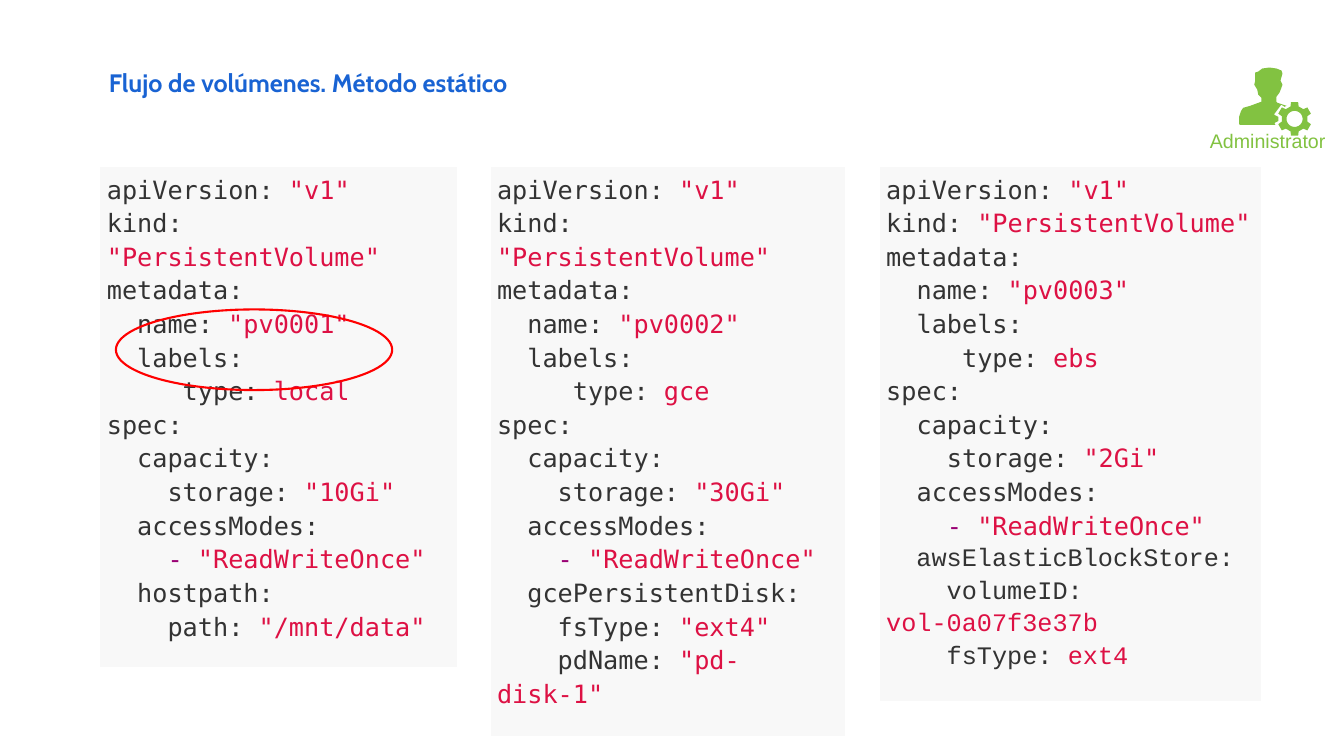
from dataclasses import dataclass
from math import cos, pi, sin

from pptx import Presentation
from pptx.dml.color import RGBColor
from pptx.enum.shapes import MSO_SHAPE
from pptx.enum.text import MSO_ANCHOR, PP_ALIGN
from pptx.util import Inches, Pt

ELLIPSE = MSO_SHAPE.OVAL
TOP = MSO_ANCHOR.TOP
LEFT = PP_ALIGN.LEFT
TITLE_ONLY = 5


@dataclass(frozen=True)
class Theme:
    white: str = "FFFFFF"
    title: str = "1963D3"
    admin: str = "82C241"
    panel: str = "F8F8F8"
    key: str = "333333"
    value: str = "DD1144"
    dash: str = "990073"
    mark: str = "FF0000"
    title_font: str = "Cabin"
    label_font: str = "Arial"
    code_font: str = "DejaVu Sans Mono"
    alt_code_font: str = "Courier New"
    body_size: int = 18
    label_size: int = 14
    code_spacing: float = 1.15


THEME = Theme()

VOLUME = """apiVersion: "v1"
kind: "PersistentVolume"
metadata:
  name: "{name}"
  labels:
     type: {type}
spec:
  capacity:
    storage: "{storage}"
  accessModes:
    - "ReadWriteOnce"
"""
LOCAL_DISK = """  hostpath:
    path: "/mnt/data\""""
GCE_DISK = """  gcePersistentDisk:
    fsType: "ext4"
    pdName: "pd-disk-1\""""
EBS_DISK = """  awsElasticBlockStore:
    volumeID: vol-0a07f3e37b
    fsType: ext4"""

# Box, volume settings, disk section, font of the disk section
PANELS = [
    ((0.99, 1.65, 3.55, 4.97), {"name": "pv0001", "type": "local", "storage": "10Gi"},
     LOCAL_DISK, THEME.code_font),
    ((4.86, 1.65, 3.53, 5.66), {"name": "pv0002", "type": "gce", "storage": "30Gi"},
     GCE_DISK, THEME.code_font),
    ((8.72, 1.65, 3.79, 5.31), {"name": "pv0003", "type": "ebs", "storage": "2Gi"},
     EBS_DISK, THEME.alt_code_font),
]

# Outline of the person, in inches from the corner of the icon
PERSON = [
    (0.30, 0), (0.23, 0.01), (0.19, 0.04), (0.16, 0.05), (0.16, 0.13),
    (0.15, 0.17), (0.18, 0.22), (0.19, 0.27), (0.22, 0.30), (0.22, 0.34),
    (0.11, 0.38), (0.04, 0.40), (0.02, 0.43), (0, 0.49), (0, 0.56),
    (0.01, 0.57), (0.36, 0.57), (0.35, 0.55), (0.39, 0.53), (0.39, 0.49),
    (0.35, 0.47), (0.35, 0.46), (0.41, 0.38), (0.42, 0.37), (0.45, 0.39),
    (0.47, 0.38), (0.38, 0.35), (0.37, 0.34), (0.37, 0.29), (0.40, 0.25),
    (0.42, 0.20), (0.43, 0.17), (0.41, 0.13), (0.43, 0.06), (0.42, 0.03),
    (0.37, 0.01),
]
GEAR_CENTER = (0.55, 0.51)


def color(code):
    return RGBColor.from_string(code)


def add_span(para, text, font, size, code, bold=False):
    span = para.add_run()
    span.text = text
    formats = {"name": font, "size": Pt(size), "bold": bold}
    for name, value in formats.items():
        setattr(span.font, name, value)
    span.font.color.rgb = color(code)


def set_margins(target, left, top, right, bottom):
    margins = {"left": left, "top": top, "right": right, "bottom": bottom}
    for side, value in margins.items():
        setattr(target, f"margin_{side}", Inches(value))


def place_title(page, box, text):
    title = page.shapes.title
    for name, value in zip(("left", "top", "width", "height"), box):
        setattr(title, name, Inches(value))
    title.fill.solid()
    title.fill.fore_color.rgb = color(THEME.white)
    frame = title.text_frame
    set_margins(frame, 0, 0, 0, 0)
    frame.word_wrap = False
    frame.vertical_anchor = TOP
    para = frame.paragraphs[0]
    para.alignment = LEFT
    add_span(para, text, THEME.title_font, THEME.body_size, THEME.title, bold=True)


def ring(center, radii_and_angles):
    """Points around a center, with angles in degrees."""
    x, y = center
    return [(x + radius * cos(angle * pi / 180), y + radius * sin(angle * pi / 180))
            for radius, angle in radii_and_angles]


def add_admin_icon(page, left, top):
    teeth = [(radius, 60 * tooth + 30 + turn) for tooth in range(6)
             for radius, turn in ((0.13, -18), (0.17, -12), (0.17, 12), (0.13, 18))]
    hole = [(0.08, -15 * step) for step in range(24)]
    outlines = [PERSON, ring(GEAR_CENTER, teeth), ring(GEAR_CENTER, hole)]
    builder = None
    for outline in outlines:
        points = [(Inches(left + x), Inches(top + y)) for x, y in outline]
        if builder is None:
            builder = page.shapes.build_freeform(*points[0])
        else:
            builder.move_to(*points[0])
        builder.add_line_segments(points[1:], close=True)
    icon = builder.convert_to_shape()
    icon.shadow.inherit = False
    icon.fill.solid()
    icon.fill.fore_color.rgb = color(THEME.admin)
    icon.line.fill.background()


def add_administrator(page, left, top):
    add_admin_icon(page, left + 0.49, top)
    label = page.shapes.add_textbox(
        Inches(left), Inches(top + 0.51), Inches(1.53), Inches(0.4))
    frame = label.text_frame
    frame.word_wrap = True
    set_margins(frame, 0.2, 0.1, 0.1, 0.1)
    add_span(frame.paragraphs[0], "Administrator", THEME.label_font,
             THEME.label_size, THEME.admin)


def add_code_line(para, line, font):
    """Colour keys, list dashes and values apart."""
    para.line_spacing = THEME.code_spacing
    mark, code = (":", THEME.key) if ":" in line else ("-", THEME.dash)
    head, _, value = line.partition(mark)
    value = value.strip()
    gap = " " if value else ""
    add_span(para, head + mark + gap, font, THEME.body_size, code)
    if value:
        add_span(para, value, font, THEME.body_size, THEME.value)


def add_code_panel(page, box, settings, disk, disk_font):
    table = page.shapes.add_table(1, 1, *map(Inches, box)).table
    table.first_row = False
    table.horz_banding = False
    cell = table.cell(0, 0)
    cell.fill.solid()
    cell.fill.fore_color.rgb = color(THEME.panel)
    set_margins(cell, 0.07, 0.05, 0.07, 0.05)
    lines = [(line, THEME.code_font) for line in VOLUME.format(**settings).splitlines()]
    lines += [(line, disk_font) for line in disk.splitlines()]
    frame = cell.text_frame
    for index, (line, font) in enumerate(lines):
        para = frame.add_paragraph() if index else frame.paragraphs[0]
        add_code_line(para, line, font)


def add_highlight(page, box):
    ellipse = page.shapes.add_shape(ELLIPSE, *map(Inches, box))
    ellipse.shadow.inherit = False
    ellipse.fill.background()
    ellipse.line.color.rgb = color(THEME.mark)
    ellipse.line.width = Pt(1.5)


def main():
    deck = Presentation()
    deck.slide_width, deck.slide_height = Inches(13.33), Inches(7.5)
    page = deck.slides.add_slide(deck.slide_layouts[TITLE_ONLY])
    place_title(page, (1.08, 0.67, 4.57, 0.34), "Flujo de volúmenes. Método estático")
    add_administrator(page, 11.8, 0.67)
    for panel in PANELS:
        add_code_panel(page, *panel)
    add_highlight(page, (1.15, 3.07, 2.74, 0.8))
    deck.save("out.pptx")


if __name__ == "__main__":
    main()
